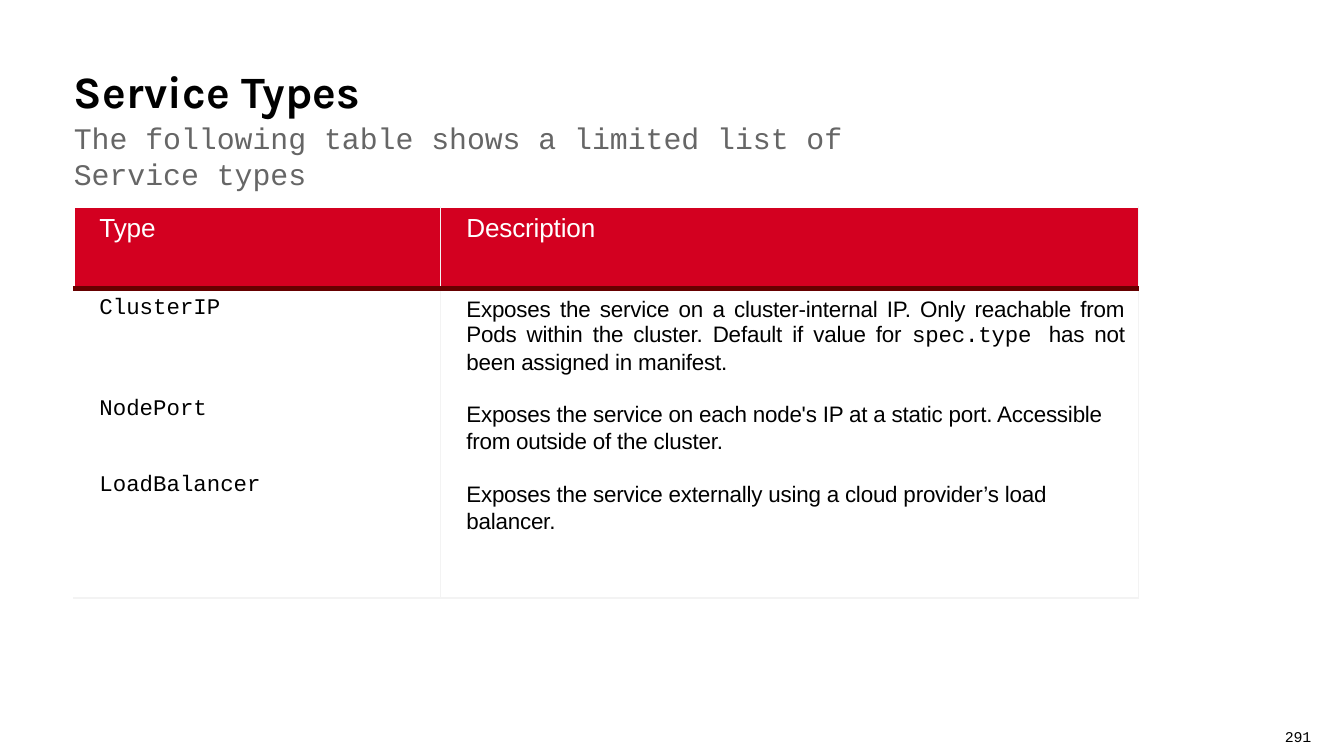
import lxml.etree
import pptx
import pptx.dml.color
import pptx.enum.text
import pptx.oxml.ns
import pptx.util

Pt = pptx.util.Pt
Inches = pptx.util.Inches
ALIGN = pptx.enum.text.PP_ALIGN

RED, MAROON, PALE = "D30020", "660000", "F3F3F3"
BLACK, WHITE, GREY = "000000", "FFFFFF", "666666"
SANS, MONO = "Arial", "Courier New"


def format_run(run, font, size, color, bold=False, spacing=0):
    run.font.name, run.font.size, run.font.bold = font, Pt(size), bold
    run.font.color.rgb = pptx.dml.color.RGBColor.from_string(color)
    if spacing:
        run._r.get_or_add_rPr().set("spc", str(round(spacing * 100)))


def add_border(cell, side, color, points):
    line = lxml.etree.SubElement(
        cell._tc.get_or_add_tcPr(), pptx.oxml.ns.qn(f"a:ln{side}"), w=str(Pt(points)))
    fill = lxml.etree.SubElement(line, pptx.oxml.ns.qn("a:solidFill"))
    lxml.etree.SubElement(fill, pptx.oxml.ns.qn("a:srgbClr"), val=color)


# Slide, divided into 100 columns and 100 rows
presentation = pptx.Presentation()
presentation.slide_width, presentation.slide_height = Inches(10), Inches(5.625)
column = presentation.slide_width // 100
row = presentation.slide_height // 100
slide = presentation.slides.add_slide(presentation.slide_layouts[5])

# Title with its subtitle line
title = slide.shapes.title
title.left, title.top = int(5.4 * column), int(6.6 * row)
title.width, title.height = int(67.4 * column), int(17.8 * row)
frame = title.text_frame
frame.text = "Service Types\nThe following table shows a limited list of Service types"
frame.word_wrap = True
frame.auto_size = pptx.enum.text.MSO_AUTO_SIZE.NONE
frame.vertical_anchor = pptx.enum.text.MSO_ANCHOR.TOP
frame.margin_left, frame.margin_top = Inches(0.01), Inches(0.1)
frame.margin_right = frame.margin_bottom = 0
heading, subtitle = frame.paragraphs
heading.alignment = subtitle.alignment = ALIGN.LEFT
subtitle.space_before = Pt(1.5)
format_run(heading.runs[0], "Karla", 24, BLACK, bold=True, spacing=0.1)
format_run(subtitle.runs[0], MONO, 16, GREY)

# Table grid
widths, heights = (27.3, 51.9), (10.8, 40.9)
table = slide.shapes.add_table(
    2, 2, int(5.5 * column), int(27.4 * row),
    int(sum(widths) * column), int(sum(heights) * row)).table
table.first_row = table.horz_banding = False
for index in range(2):
    table.columns[index].width = int(widths[index] * column)
    table.rows[index].height = int(heights[index] * row)

# Cell borders and fills
for row_index in range(2):
    for column_index in range(2):
        cell = table.cell(row_index, column_index)
        is_header = row_index == 0
        if column_index == 1:
            add_border(cell, "L", PALE, 0.75)
        add_border(cell, "R", PALE, 0.75)
        if is_header:
            add_border(cell, "B", MAROON, 3)
            cell.fill.solid()
            cell.fill.fore_color.rgb = pptx.dml.color.RGBColor.from_string(RED)
        else:
            add_border(cell, "T", MAROON, 3)
            add_border(cell, "B", PALE, 0.75)
            cell.fill.background()

# Header text
for column_index, label in enumerate(("Type", "Description")):
    cell = table.cell(0, column_index)
    cell.margin_left = Inches(0.19)
    cell.text_frame.text = label
    format_run(cell.text_frame.paragraphs[0].runs[0], SANS, 14, WHITE, spacing=-0.1)

# Service names: name and space before
types_cell = table.cell(1, 0)
types_cell.margin_left = Inches(0.19)
services = [("ClusterIP", 0), ("NodePort", 40.8), ("LoadBalancer", 27.2)]
types_cell.text_frame.text = "\n".join(name for name, gap in services)
for paragraph, (name, gap) in zip(types_cell.text_frame.paragraphs, services):
    paragraph.space_before = Pt(gap)
    format_run(paragraph.runs[0], MONO, 12, BLACK)

# Descriptions: pieces of text with their fonts, and space before
descriptions = [
    ([("Exposes the service on a cluster-internal IP. Only reachable from Pods "
       "within the cluster. Default if value for ", SANS),
      ("spec.type ", MONO),
      ("has not been assigned in manifest.", SANS)], 0),
    ([("Exposes the service on each node's IP at a static port. Accessible "
       "from outside of the cluster.", SANS)], 13.6),
    ([("Exposes the service externally using a cloud provider’s load balancer.",
       SANS)], 14.1),
]
description_cell = table.cell(1, 1)
description_cell.margin_left = Inches(0.19)
frame = description_cell.text_frame
for index, (pieces, gap) in enumerate(descriptions):
    paragraph = frame.add_paragraph() if index else frame.paragraphs[0]
    paragraph.alignment = ALIGN.LEFT if index else ALIGN.JUSTIFY
    paragraph.line_spacing = Pt(14.3)
    paragraph.space_before = Pt(gap)
    for text, font in pieces:
        run = paragraph.add_run()
        run.text = text
        format_run(run, font, 12, BLACK, spacing=-0.1)

# Page number
page_number = slide.shapes.add_textbox(
    int(95.2 * column), int(95.5 * row), int(2.9 * column), int(4.5 * row))
frame = page_number.text_frame
frame.word_wrap = True
frame.margin_left = frame.margin_top = Inches(0.04)
frame.margin_right = frame.margin_bottom = 0
frame.text = "291"
format_run(frame.paragraphs[0].runs[0], MONO, 8, BLACK, spacing=-0.1)

presentation.save("out.pptx")
